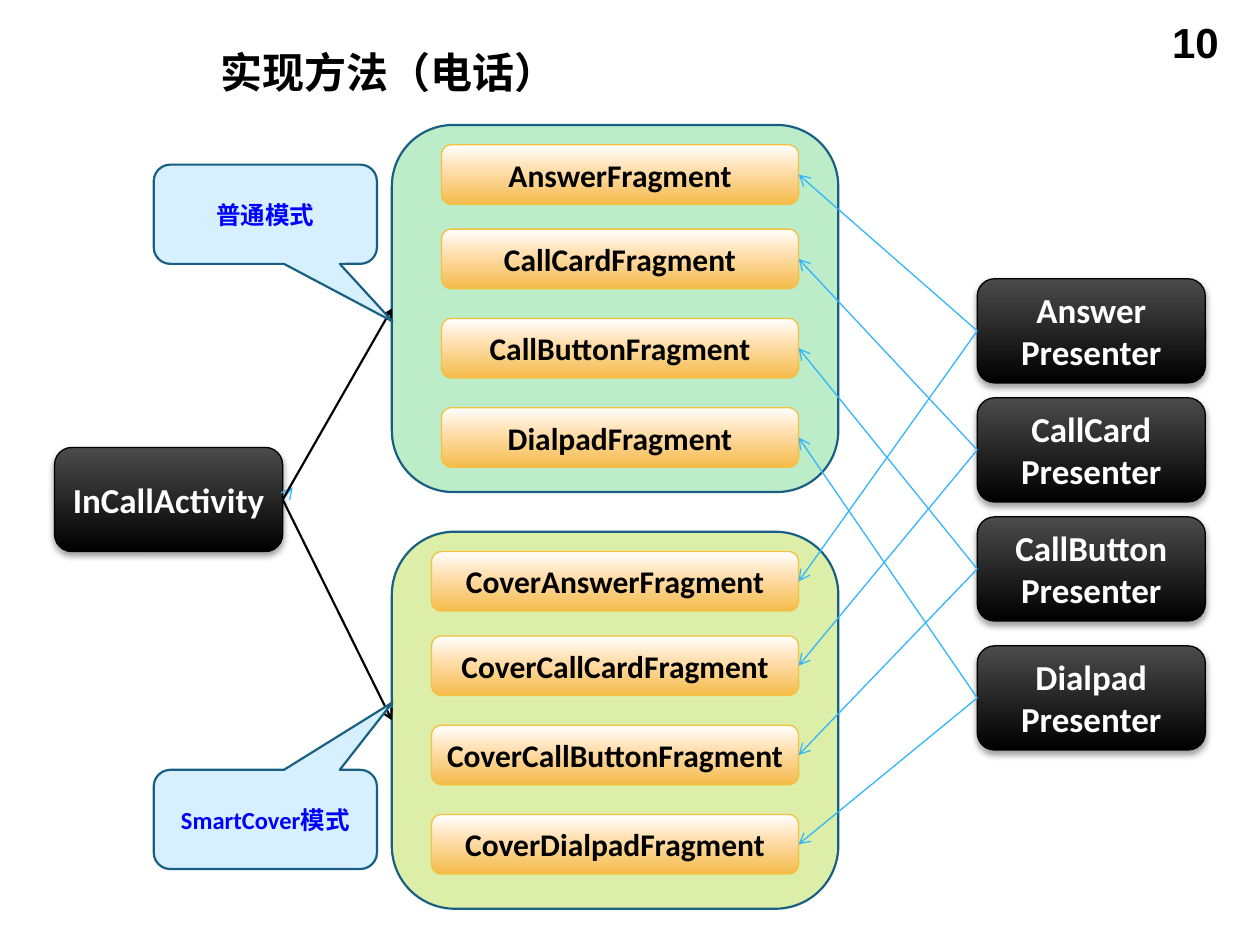
from lxml.etree import SubElement
from pptx import Presentation
from pptx.dml.color import RGBColor
from pptx.enum.shapes import MSO_CONNECTOR, MSO_SHAPE
from pptx.enum.text import MSO_ANCHOR, PP_ALIGN
from pptx.oxml.ns import qn
from pptx.util import Cm, Pt

COLORS = {
    "black": "000000", "white": "FFFFFF", "charcoal": "4B4B4B",
    "green": "BDECC9", "lime": "DCEEA7", "outline": "195F84",
    "peach": "FFDDAA", "orange": "F4BB4A", "gold": "F5C040",
    "sky": "D6F0FF", "link": "31B6FD", "blue": "0000FF",
}
DARK_GRADIENT = [(0, "charcoal"), (100, "black")]
ORANGE_GRADIENT = [(0, "white"), (44, "peach"), (100, "orange")]

FRAGMENTS = ["AnswerFragment", "CallCardFragment", "CallButtonFragment", "DialpadFragment"]
FRAGMENT_OFFSETS = [0.4, 2.1, 3.9, 5.7]
PRESENTERS = [("Answer", 5.62), ("CallCard", 8.02), ("CallButton", 10.42), ("Dialpad", 13.02)]
LEFT, RIGHT = 1, 3


def rgb(name):
    return RGBColor.from_string(COLORS[name])


class SlideBuilder:
    def __init__(self, slide, font="Calibri"):
        self.slide = slide
        self.font = font

    def set_text(self, shape, text, size, color, align=PP_ALIGN.CENTER, font=None):
        frame = shape.text_frame
        frame.text = text
        frame.word_wrap = True
        frame.vertical_anchor = MSO_ANCHOR.MIDDLE
        for paragraph in frame.paragraphs:
            paragraph.alignment = align
            for run in paragraph.runs:
                run.font.name = font or self.font
                run.font.size = Pt(size)
                run.font.bold = True
                run.font.color.rgb = rgb(color)

    def title(self, text, *box):
        title = self.slide.shapes.title
        title.left, title.top, title.width, title.height = map(Cm, box)
        self.set_text(title, text, 24, "black", PP_ALIGN.LEFT)

    def page_number(self, text, *box):
        textbox = self.slide.shapes.add_textbox(*map(Cm, box))
        self.set_text(textbox, text, 24, "black", PP_ALIGN.RIGHT, "Arial")
        textbox.text_frame.vertical_anchor = MSO_ANCHOR.TOP

    def shape(self, box, line, line_width, fill=None, kind=MSO_SHAPE.ROUNDED_RECTANGLE):
        shape = self.slide.shapes.add_shape(kind, *map(Cm, box))
        shape.shadow.inherit = False
        shape.line.color.rgb = rgb(line)
        shape.line.width = Pt(line_width)
        if fill:
            shape.fill.solid()
            shape.fill.fore_color.rgb = rgb(fill)
        return shape

    def gradient(self, shape, stops):
        """Fill the shape from top to bottom with any number of colour stops."""
        shape.fill.gradient()
        shape.fill.gradient_angle = 270
        stop_list = shape._element.spPr.find(".//" + qn("a:gsLst"))
        for old_stop in list(stop_list):
            stop_list.remove(old_stop)
        for position, color in stops:
            stop = SubElement(stop_list, qn("a:gs"), pos=str(position * 1000))
            SubElement(stop, qn("a:srgbClr"), val=COLORS[color])

    def drop_shadow(self, shape):
        effects = shape._element.spPr.find(qn("a:effectLst"))
        shadow = SubElement(effects, qn("a:outerShdw"), blurRad=str(Pt(4)),
                            dist=str(Pt(2)), dir="5400000", rotWithShape="0")
        color = SubElement(shadow, qn("a:srgbClr"), val=COLORS["black"])
        SubElement(color, qn("a:alpha"), val="38000")

    def dark_box(self, text, left, top):
        shape = self.shape((left, top, 4.6, 2.1), "black", 0.75)
        self.gradient(shape, DARK_GRADIENT)
        self.drop_shadow(shape)
        self.set_text(shape, text, 20, "white")
        return shape

    def fragment(self, text, left, top, width):
        shape = self.shape((left, top, width, 1.2), "gold", 0.75)
        self.gradient(shape, ORANGE_GRADIENT)
        self.set_text(shape, text, 18, "black")
        shape.text_frame.margin_left = shape.text_frame.margin_right = Cm(0.1)
        return shape

    def group(self, top, height, fill, prefix, left, width):
        """Draw a panel with its four fragments; return the panel and the fragments."""
        panel = self.shape((7.9, top, 9, height), "outline", 1.25, fill)
        fragments = [self.fragment(prefix + name, left, top + offset, width)
                     for name, offset in zip(FRAGMENTS, FRAGMENT_OFFSETS)]
        return panel, fragments

    def callout(self, text, top, pointer_y):
        shape = self.shape((3.1, top, 4.5, 2), "outline", 1.25, "sky",
                           MSO_SHAPE.ROUNDED_RECTANGULAR_CALLOUT)
        shape.adjustments[0] = 0.57
        shape.adjustments[1] = pointer_y
        self.set_text(shape, text, 14, "blue")

    def arrow(self, start, end, color, width):
        connector = self.slide.shapes.add_connector(
            MSO_CONNECTOR.STRAIGHT, *map(Cm, start + end))
        connector.line.color.rgb = rgb(color)
        connector.line.width = Pt(width)
        properties = connector._element.spPr
        SubElement(properties.find(qn("a:ln")), qn("a:tailEnd"), type="arrow")
        SubElement(properties, qn("a:effectLst"))
        return connector

    def join(self, source, source_side, target, target_side, color, width):
        connector = self.arrow((0, 0), (0, 0), color, width)
        connector.begin_connect(source, source_side)
        connector.end_connect(target, target_side)


def main():
    presentation = Presentation()
    presentation.slide_width, presentation.slide_height = Cm(25.4), Cm(19.05)
    slide = presentation.slides.add_slide(presentation.slide_layouts[5])
    builder = SlideBuilder(slide)

    builder.title("实现方法（电话）", 4.2, 0.76, 19.94, 1.37)
    builder.page_number("10", 18.9, 0.2, 5.92, 1.32)

    cover_panel, cover_fragments = builder.group(10.72, 7.6, "lime", "Cover", 8.7, 7.4)
    normal_panel, normal_fragments = builder.group(2.52, 7.4, "green", "", 8.9, 7.2)
    activity = builder.dark_box("InCallActivity", 1.1, 9.02)
    presenters = [builder.dark_box(f"{name}\nPresenter", 19.7, top)
                  for name, top in PRESENTERS]

    for presenter, *targets in zip(presenters, normal_fragments, cover_fragments):
        for target in targets:
            builder.join(presenter, LEFT, target, RIGHT, "link", 0.75)

    builder.arrow((5.7, 10.07), (5.9, 9.82), "link", 0.75)
    for panel in (normal_panel, cover_panel):
        builder.join(activity, RIGHT, panel, LEFT, "black", 1.25)

    builder.callout("普通模式", 3.32, 1.08)
    builder.callout("SmartCover模式", 15.52, -1.18)

    presentation.save("out.pptx")


if __name__ == "__main__":
    main()
